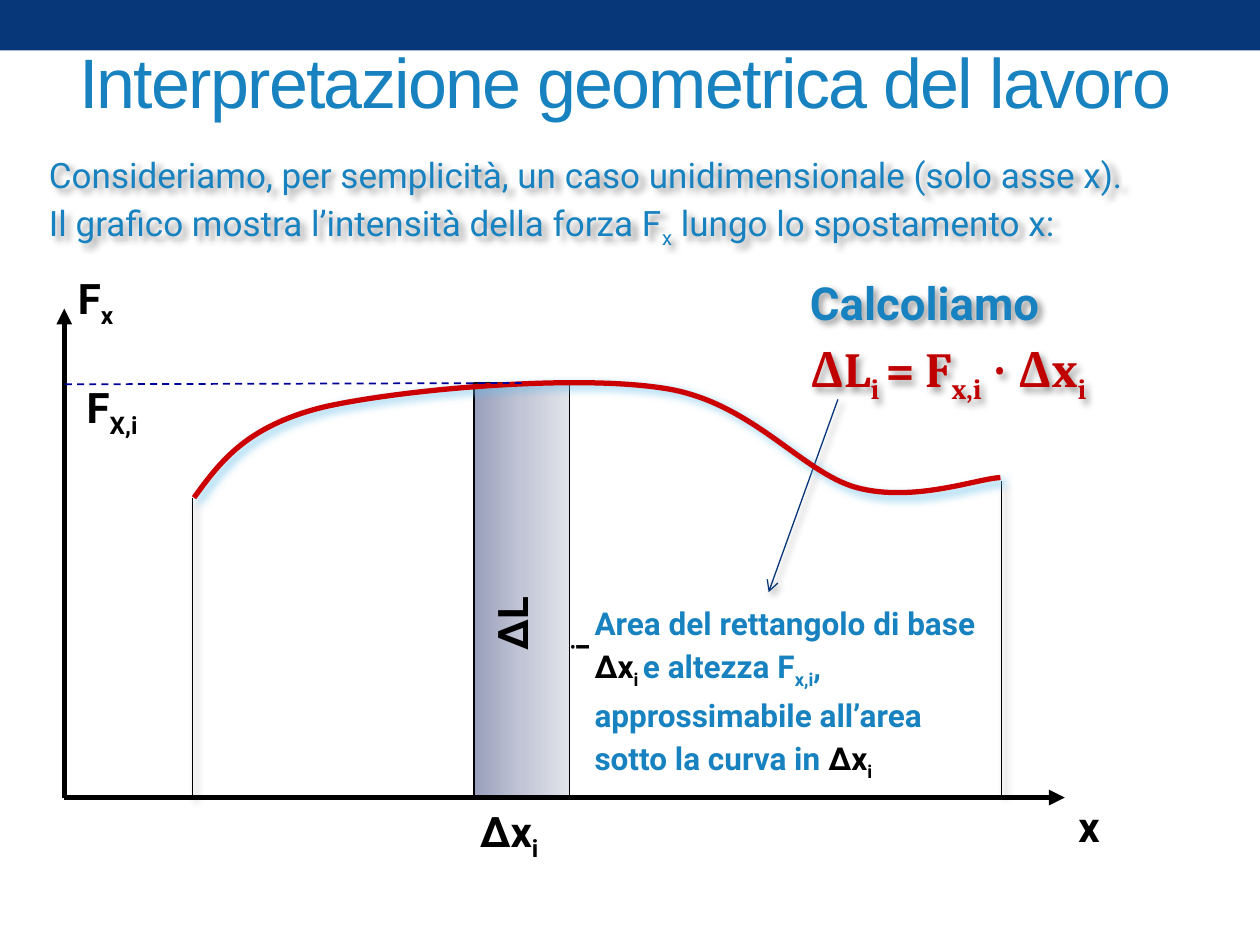
"""Builds the slide on the geometric interpretation of work."""
from dataclasses import dataclass
from typing import Optional

from lxml import etree
from pptx import Presentation
from pptx.dml.color import RGBColor
from pptx.enum.dml import MSO_LINE
from pptx.enum.shapes import MSO_CONNECTOR, MSO_SHAPE
from pptx.enum.text import MSO_ANCHOR, MSO_AUTO_SIZE
from pptx.oxml.ns import qn
from pptx.util import Emu, Pt

PX = 9144
STRAIGHT = MSO_CONNECTOR.STRAIGHT
RECTANGLE = MSO_SHAPE.RECTANGLE
DASH = MSO_LINE.DASH
MIDDLE, TOP = MSO_ANCHOR.MIDDLE, MSO_ANCHOR.TOP
NO_FIT = MSO_AUTO_SIZE.NONE
SUBSCRIPT = "-25000"

COLORS = {
    "navy": "073779", "blue": "1782BF", "red": "C00000", "curve": "CC0000",
    "black": "000000", "dash": "000099", "glow": "62BCE9",
    "strip_dark": "999FBC", "strip_mid": "C2C5D5", "strip_light": "E1E3EA",
}


@dataclass(frozen=True)
class Shadow:
    color: str
    alpha: int
    blur: int = 4
    distance: int = 3


@dataclass(frozen=True)
class Piece:
    text: str
    sub: bool = False
    color: Optional[str] = None


@dataclass(frozen=True)
class Line:
    pieces: tuple
    size: int
    color: str = "blue"
    font: str = "Roboto"
    bold: bool = False
    spacing: Optional[float] = None
    tracking: Optional[int] = None


@dataclass(frozen=True)
class Label:
    box: tuple
    lines: tuple
    wrap: bool = True
    rotation: int = 0
    anchor: object = TOP
    shadow: Optional[Shadow] = None


@dataclass(frozen=True)
class Stroke:
    start: tuple
    end: tuple
    color: str = "black"
    width: float = 0.75
    arrow: Optional[str] = None
    shadow: Optional[Shadow] = None


GREY_SHADOW = Shadow("black", 40)
CURVE_SHADOW = Shadow("glow", 75, 5)
ORIGIN = (51, 633)
CURVE = ((154, 395), (175, 366), (196, 338), (257, 323), (319, 309),
         (455, 297), (526, 308), (596, 318), (636, 375), (680, 387),
         (725, 399), (775, 380), (794, 379))

STROKES = (
    Stroke((665, 317), (610, 470), "navy", arrow="arrow", shadow=GREY_SHADOW),
    Stroke(ORIGIN, (51, 245), width=3, arrow="triangle"),
    Stroke(ORIGIN, (845, 633), width=3, arrow="triangle"),
    Stroke((153, 395), (153, 634), shadow=GREY_SHADOW),
    Stroke((795, 382), (795, 632), shadow=GREY_SHADOW),
)


def axis_label(box: tuple, base: str, sub: str = "", wrap: bool = False, rotation: int = 0) -> Label:
    """Describe a bold black symbol with an optional subscript."""
    pieces = (Piece(base),) + ((Piece(sub, True),) if sub else ())
    return Label(box, (Line(pieces, 24, "black", bold=True),), wrap, rotation)


LABELS = (
    Label((29, 112, 920, 133), (
        Line((Piece("Consideriamo, per semplicità, un caso unidimensionale (solo asse x)."),), 20, spacing=1.14),
        Line((Piece("Il grafico mostra l’intensità della forza F"), Piece("x", True),
              Piece(" lungo lo spostamento x:")), 20, spacing=1.14),
    ), shadow=GREY_SHADOW),
    Label((633, 213, 318, 108), (
        Line((Piece("Calcoliamo"),), 26, bold=True),
        Line((Piece("ΔL"), Piece("i ", True), Piece("= F"), Piece("x,i", True), Piece(" ∙ Δx"),
              Piece("i", True)), 28, "red", "Cambria", True, 1.14),
    ), shadow=GREY_SHADOW),
    axis_label((52, 211, 62, 48), "F", "x"),
    axis_label((846, 630, 48, 48), "x"),
    axis_label((59, 298, 66, 50), "F", "X,i"),
    axis_label((371, 634, 81, 48), "Δx", "i"),
    axis_label((374, 469, 64, 50), "ΔL", "i", wrap=True, rotation=270),
    Label((462, 470, 328, 145), (
        Line((Piece("Area del rettangolo di base "), Piece("Δx", color="black"),
              Piece("i ", True, "black"), Piece("e altezza F"), Piece("x,i", True),
              Piece(", approssimabile all’area sotto la curva in "),
              Piece("Δx", color="black"), Piece("i", True, "black")), 18, bold=True, spacing=1.14),
    )),
    Label((53, 10, 900, 108), (
        Line((Piece("Interpretazione geometrica del lavoro"),), 40, font="Arial", tracking=-100),
    ), anchor=MIDDLE),
)


def rgb(name: str) -> RGBColor:
    """Look up a palette colour."""
    return RGBColor.from_string(COLORS[name])


def emu(values: tuple) -> list:
    """Turn px lengths into EMU."""
    return [Emu(value * PX) for value in values]


def set_effects(shape, shadow: Optional[Shadow]) -> None:
    """Give a shape its own effect list, empty or with one outer shadow."""
    effects = etree.SubElement(shape._element.spPr, qn("a:effectLst"))
    if shadow:
        outer = etree.SubElement(
            effects, qn("a:outerShdw"), blurRad=str(Pt(shadow.blur)),
            dist=str(Pt(shadow.distance)), dir="2700000", algn="tl", rotWithShape="0")
        color = etree.SubElement(outer, qn("a:srgbClr"), val=COLORS[shadow.color])
        etree.SubElement(color, qn("a:alpha"), val=str(shadow.alpha * 1000))


def add_stroke(slide, stroke: Stroke):
    """Draw a straight connector."""
    connector = slide.shapes.add_connector(STRAIGHT, *emu(stroke.start + stroke.end))
    connector.line.color.rgb = rgb(stroke.color)
    connector.line.width = Pt(stroke.width)
    if stroke.arrow:
        etree.SubElement(connector.line._get_or_add_ln(), qn("a:tailEnd"), type=stroke.arrow)
    set_effects(connector, stroke.shadow)
    return connector


def add_label(slide, label: Label) -> None:
    """Draw a text box run by run."""
    shape = slide.shapes.add_textbox(*emu(label.box))
    shape.rotation = label.rotation
    frame = shape.text_frame
    frame.word_wrap = label.wrap
    frame.auto_size = NO_FIT
    frame.vertical_anchor = label.anchor
    for index, line in enumerate(label.lines):
        paragraph = frame.add_paragraph() if index else frame.paragraphs[0]
        paragraph.line_spacing = line.spacing
        for piece in line.pieces:
            run = paragraph.add_run()
            run.text = piece.text
            run.font.size = Pt(line.size)
            run.font.name = line.font
            run.font.bold = line.bold
            run.font.color.rgb = rgb(piece.color or line.color)
            if piece.sub:
                run.font._element.set("baseline", SUBSCRIPT)
            if line.tracking:
                run.font._element.set("spc", str(line.tracking))
    if label.shadow:
        set_effects(shape, label.shadow)


def add_strip(slide):
    """Draw the shaded rectangle under the curve."""
    strip = slide.shapes.add_shape(RECTANGLE, *emu((376, 304, 76, 329)))
    strip.shadow.inherit = False
    strip.line.color.rgb = rgb("black")
    strip.line.width = Pt(1)
    strip.fill.gradient()
    strip.fill.gradient_angle = 0
    stops = strip._element.spPr.find(qn("a:gradFill")).find(qn("a:gsLst"))
    stops.clear()
    for position, name in ((0, "strip_dark"), (50, "strip_mid"), (100, "strip_light")):
        stop = etree.SubElement(stops, qn("a:gs"), pos=str(position * 1000))
        etree.SubElement(stop, qn("a:srgbClr"), val=COLORS[name])
    return strip


def add_curve(slide) -> None:
    """Draw the force curve, joining each three points into a cubic segment."""
    builder = slide.shapes.build_freeform(*CURVE[0], scale=PX)
    builder.add_line_segments(CURVE[1:], close=False)
    curve = builder.convert_to_shape()
    segments = list(curve._element.iter(qn("a:lnTo")))
    outline = segments[0].getparent()
    for first in range(0, len(segments), 3):
        cubic = etree.SubElement(outline, qn("a:cubicBezTo"))
        for segment in segments[first:first + 3]:
            cubic.append(segment[0])
            outline.remove(segment)
    curve.fill.background()
    curve.line.color.rgb = rgb("curve")
    curve.line.width = Pt(3)
    set_effects(curve, CURVE_SHADOW)


def main() -> None:
    """Build and save the slide."""
    presentation = Presentation()
    presentation.slide_width, presentation.slide_height = emu((1000, 750))
    slide = presentation.slides.add_slide(presentation.slide_layouts[6])
    band = slide.shapes.add_shape(RECTANGLE, *emu((0, 0, 1000, 40)))
    band.shadow.inherit = False
    band.fill.solid()
    band.fill.fore_color.rgb = rgb("navy")
    band.line.fill.background()
    strip = add_strip(slide)
    for stroke in STROKES:
        add_stroke(slide, stroke)
    add_curve(slide)
    level = add_stroke(slide, Stroke((414, 304), (51, 305), "dash", 1))
    level.line.dash_style = DASH
    level.begin_connect(strip, 0)
    for label in LABELS:
        add_label(slide, label)
    presentation.save("out.pptx")


if __name__ == "__main__":
    main()
